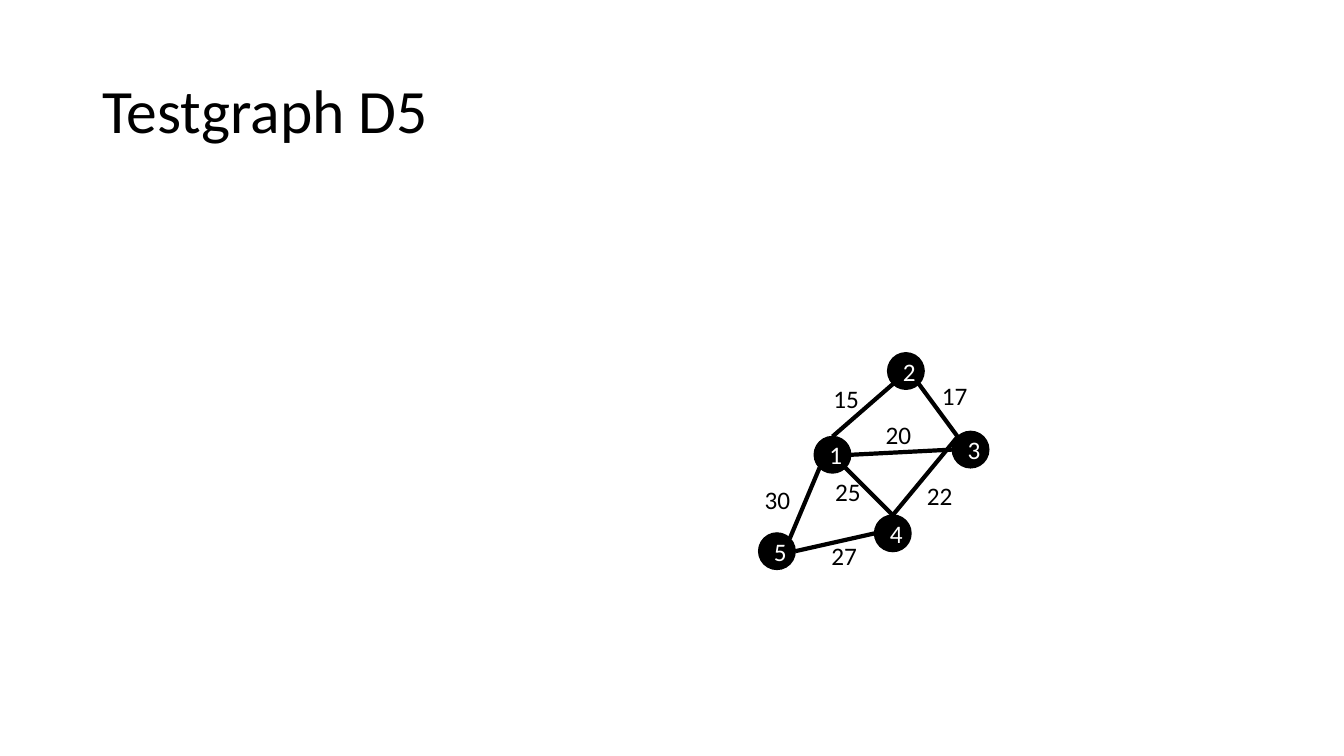
import math
from dataclasses import dataclass

import lxml.etree
import pptx
import pptx.dml.color
import pptx.enum.shapes
import pptx.enum.text
import pptx.oxml.ns
import pptx.util

Cm = pptx.util.Cm
Pt = pptx.util.Pt
qn = pptx.oxml.ns.qn
RGB = pptx.dml.color.RGBColor
ANCHOR = pptx.enum.text.MSO_ANCHOR
ALIGN = pptx.enum.text.PP_ALIGN
FIT = pptx.enum.text.MSO_AUTO_SIZE


@dataclass(frozen=True)
class Theme:
    font: str = "Calibri"
    ink: RGB = RGB(0, 0, 0)
    paper: RGB = RGB(255, 255, 255)
    title_size: float = 44
    graph_size: float = 18
    node_line: float = 1
    edge_line: float = 3


THEME = Theme()

# Lengths in cm; boxes are left, top, width, height
SLIDE_SIZE = (33.87, 19.05)
TITLE_BOX = (2.33, 1.01, 29.21, 3.68)
GRAPH_BOX = (19.02, 8.89, 5.9, 5.62)
NODE_DIAMETER = 0.92
WEIGHT_SIZE = (1.18, 1.02)

# Node centres, relative to the graph box
NODES = {
    "1": (1.96, 2.57),
    "2": (3.81, 0.46),
    "3": (5.44, 2.44),
    "4": (3.48, 4.55),
    "5": (0.56, 5.0),
}

# Connection sites of an ellipse, counter-clockwise in steps of 45 degrees
TOP, TOP_LEFT, LEFT, BOTTOM_LEFT, BOTTOM, BOTTOM_RIGHT, RIGHT, TOP_RIGHT = range(8)

# Start node and site, end node and site, weight, corner of the weight's label
EDGES = [
    ("5", RIGHT, "4", LEFT, "27", (1.68, 4.6)),
    ("1", BOTTOM_LEFT, "5", TOP_RIGHT, "30", (0, 3.2)),
    ("4", TOP, "3", TOP_LEFT, "22", (4.09, 3.1)),
    ("4", TOP, "1", BOTTOM_RIGHT, "25", (1.78, 3.0)),
    ("3", TOP_LEFT, "2", BOTTOM_RIGHT, "17", (4.47, 0.58)),
    ("2", BOTTOM_LEFT, "1", TOP, "15", (1.73, 0.64)),
    ("3", LEFT, "1", RIGHT, "20", (3.05, 1.55)),
]


def write(frame, text, *, size, color=THEME.ink, align=ALIGN.LEFT,
          anchor=ANCHOR.TOP, wrap=True, fit=FIT.NONE, spacing=None):
    frame.word_wrap = wrap
    frame.auto_size = fit
    frame.vertical_anchor = anchor
    paragraph = frame.paragraphs[0]
    paragraph.alignment = align
    paragraph.line_spacing = spacing
    run = paragraph.add_run()
    run.text = text
    run.font.name = THEME.font
    run.font.size = Pt(size)
    run.font.color.rgb = color


def add_title(slide, box, text):
    title = slide.shapes.add_textbox(*map(Cm, box))
    write(title.text_frame, text, size=THEME.title_size,
          anchor=ANCHOR.MIDDLE, spacing=0.9)


def add_node(slide, center, number):
    corner = [Cm(c - NODE_DIAMETER / 2) for c in center]
    node = slide.shapes.add_shape(pptx.enum.shapes.MSO_SHAPE.OVAL, *corner,
                                  Cm(NODE_DIAMETER), Cm(NODE_DIAMETER))
    node.shadow.inherit = False
    node.fill.solid()
    node.fill.fore_color.rgb = THEME.ink
    node.line.color.rgb = THEME.ink
    node.line.width = Pt(THEME.node_line)
    write(node.text_frame, number, size=THEME.graph_size, color=THEME.paper,
          align=ALIGN.CENTER, anchor=ANCHOR.MIDDLE)
    return node


def site_point(node, site):
    angle = math.radians(90 + 45 * site)
    radius = node.width / 2
    return (round(node.left + radius * (1 + math.cos(angle))),
            round(node.top + radius * (1 - math.sin(angle))))


def add_edge(slide, start, start_site, end, end_site):
    edge = slide.shapes.add_connector(
        pptx.enum.shapes.MSO_CONNECTOR.STRAIGHT,
        *site_point(start, start_site), *site_point(end, end_site))
    edge.line.color.rgb = THEME.ink
    edge.line.width = Pt(THEME.edge_line)
    element = edge.element
    lxml.etree.SubElement(element.find(qn("p:spPr")), qn("a:effectLst"))
    # Ellipses have eight sites, so the joins are written directly
    joins = next(element.iter(qn("p:cNvCxnSpPr")))
    for tag, node, site in (("a:stCxn", start, start_site),
                            ("a:endCxn", end, end_site)):
        lxml.etree.SubElement(joins, qn(tag), id=str(node.shape_id), idx=str(site))


def add_weight(slide, corner, weight):
    label = slide.shapes.add_textbox(*map(Cm, corner), *map(Cm, WEIGHT_SIZE))
    write(label.text_frame, weight, size=THEME.graph_size, wrap=False,
          fit=FIT.SHAPE_TO_FIT_TEXT)


def add_graph(slide, box):
    left, top = box[:2]

    def place(point):
        return left + point[0], top + point[1]

    # Nodes, then edges, then weights on top
    nodes = {number: add_node(slide, place(center), number)
             for number, center in NODES.items()}
    for start, start_site, end, end_site, _, _ in EDGES:
        add_edge(slide, nodes[start], start_site, nodes[end], end_site)
    for *_, weight, corner in EDGES:
        add_weight(slide, place(corner), weight)


def main():
    deck = pptx.Presentation()
    deck.slide_width, deck.slide_height = map(Cm, SLIDE_SIZE)
    slide = deck.slides.add_slide(deck.slide_layouts[6])
    add_title(slide, TITLE_BOX, "Testgraph D5")
    add_graph(slide, GRAPH_BOX)
    deck.save("out.pptx")


if __name__ == "__main__":
    main()
